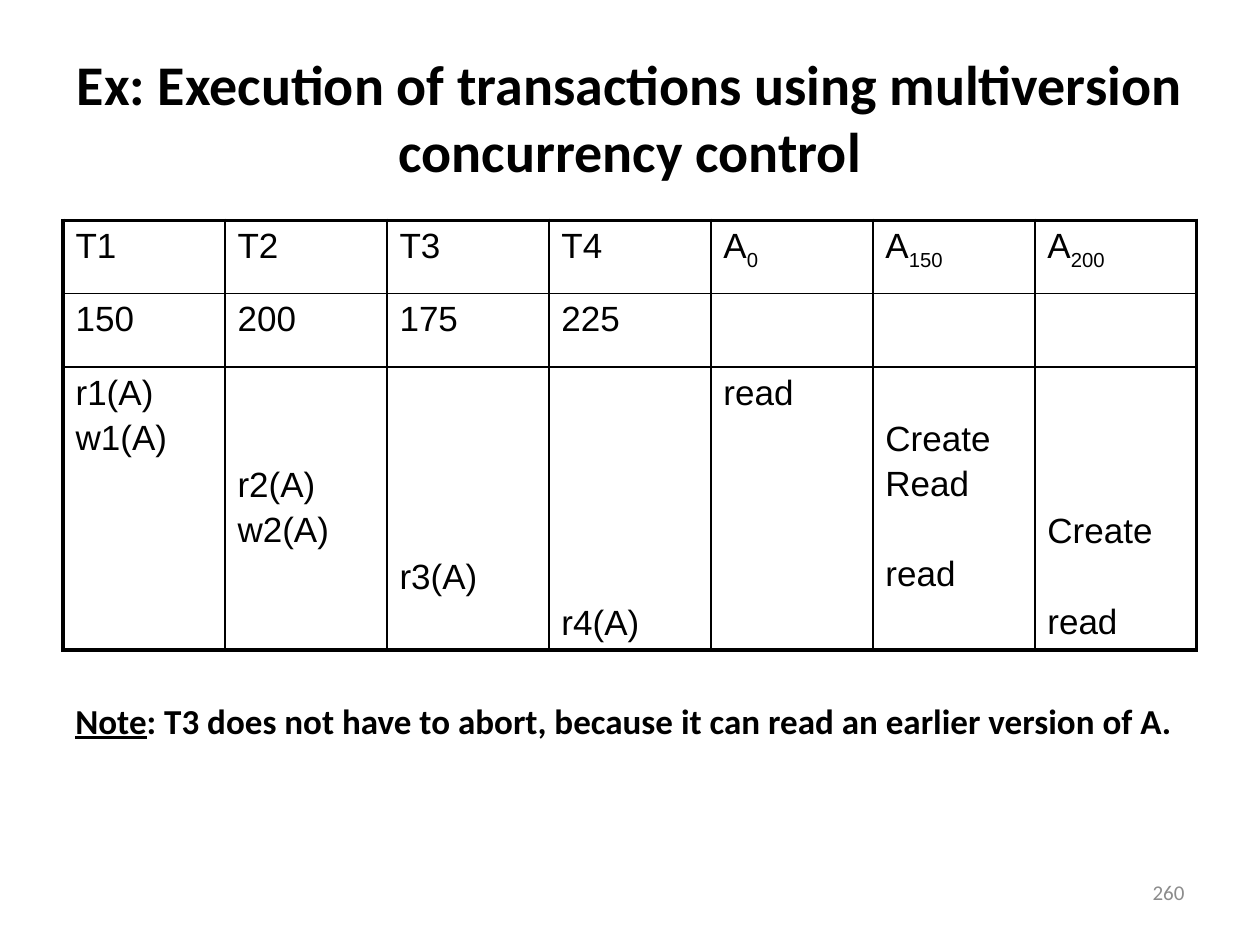
from lxml import etree
from pptx import Presentation
from pptx.dml.color import RGBColor
from pptx.enum.text import MSO_ANCHOR, MSO_AUTO_SIZE, PP_ALIGN
from pptx.oxml.ns import qn
from pptx.util import Cm, Pt

MIDDLE = MSO_ANCHOR.MIDDLE
TOP = MSO_ANCHOR.TOP
NO_FIT = MSO_AUTO_SIZE.NONE
LEFT, CENTER, RIGHT = PP_ALIGN.LEFT, PP_ALIGN.CENTER, PP_ALIGN.RIGHT

COLORS = {"ink": "000000", "paper": "FFFFFF", "muted": "8C8C8C"}
EDGE, WIDTH = Cm(1.27), Cm(22.86)
INSET = Cm(0.13)
GAP, PITCH = 3.3, 26.3
THICK, THIN = Pt(2.25), Pt(1)

HEADS = [("T1", ""), ("T2", ""), ("T3", ""), ("T4", ""),
         ("A", "0"), ("A", "150"), ("A", "200")]
STAMPS = ["150", "200", "175", "225", "", "", ""]
STEPS = [
    {0: "r1(A)", 4: "read"},
    {0: "w1(A)", 5: "Create"},
    {1: "r2(A)", 5: "Read"},
    {1: "w2(A)", 6: "Create"},
    {2: "r3(A)", 5: "read"},
    {3: "r4(A)", 6: "read"},
]


def add_run(para, text, size, font, color="ink", bold=False):
    run = para.add_run()
    run.text = text
    run.font.size = Pt(size)
    run.font.name = font
    run.font.bold = bold
    run.font.color.rgb = RGBColor.from_string(COLORS[color])
    return run


def set_frame(frame, anchor, align):
    frame.word_wrap = True
    frame.auto_size = NO_FIT
    frame.vertical_anchor = anchor
    para = frame.paragraphs[0]
    para.alignment = align
    return para


def add_title(slide, text):
    title = slide.shapes.title
    title.left, title.top = EDGE, Cm(0.76)
    title.width, title.height = WIDTH, Cm(3.18)
    para = set_frame(title.text_frame, MIDDLE, CENTER)
    add_run(para, text, 32, "Calibri", bold=True)


def add_box(slide, left, top, width, height, anchor, align):
    box = slide.shapes.add_textbox(left, top, width, height)
    return set_frame(box.text_frame, anchor, align)


def set_edge(cell, side, width):
    props = cell._tc.get_or_add_tcPr()
    line = etree.SubElement(props, qn(f"a:{side}"), w=str(width))
    fill = etree.SubElement(line, qn("a:solidFill"))
    etree.SubElement(fill, qn("a:srgbClr"), val=COLORS["ink"])


def style_cell(cell, row, col, last_row, last_col):
    outer = {"lnL": col == 0, "lnR": col == last_col,
             "lnT": row == 0, "lnB": row == last_row}
    for side, thick in outer.items():
        set_edge(cell, side, THICK if thick else THIN)
    cell.fill.solid()
    cell.fill.fore_color.rgb = RGBColor.from_string(COLORS["paper"])


def fill_steps(cell, col):
    frame = cell.text_frame
    prev = None
    for step, acts in enumerate(STEPS):
        if col not in acts:
            continue
        if prev is None:
            para = frame.paragraphs[0]
            cell.margin_top = INSET + Pt(step * PITCH)
        else:
            para = frame.add_paragraph()
            para.space_before = Pt(GAP + (step - prev - 1) * PITCH)
        add_run(para, acts[col], 20, "Arial")
        prev = step


def add_grid(slide):
    rows = [Cm(1.48), Cm(1.48), Cm(5.7)]
    count = len(HEADS)
    table = slide.shapes.add_table(
        len(rows), count, EDGE, Cm(4.44), WIDTH, sum(rows)).table
    table.first_row = table.horz_banding = False
    for row, height in enumerate(rows):
        table.rows[row].height = height
        for col in range(count):
            cell = table.cell(row, col)
            cell.margin_top = cell.margin_bottom = INSET
            style_cell(cell, row, col, len(rows) - 1, count - 1)
    for col, (name, sub) in enumerate(HEADS):
        table.columns[col].width = WIDTH // count
        para = table.cell(0, col).text_frame.paragraphs[0]
        add_run(para, name, 20, "Arial")
        if sub:
            low = add_run(para, sub, 20, "Arial")
            low.font._element.set("baseline", "-25000")
        if STAMPS[col]:
            para = table.cell(1, col).text_frame.paragraphs[0]
            add_run(para, STAMPS[col], 20, "Arial")
        fill_steps(table.cell(2, col), col)


def add_note(slide):
    para = add_box(slide, EDGE, Cm(13.97), WIDTH, Cm(1.96), TOP, LEFT)
    add_run(para, "Note", 20, "Calibri", bold=True).font.underline = True
    add_run(para, ": T3 does not have to abort, because it can read "
            "an earlier version of A.", 20, "Calibri", bold=True)


def add_number(slide):
    para = add_box(slide, Cm(18.2), Cm(17.35), Cm(5.93), Cm(1.27),
                   MIDDLE, RIGHT)
    add_run(para, "260", 12, "Calibri", "muted")


def main():
    deck = Presentation()
    deck.slide_width, deck.slide_height = Cm(25.4), Cm(19.05)
    slide = deck.slides.add_slide(deck.slide_layouts[5])
    add_title(slide, "Ex: Execution of transactions using multiversion "
              "concurrency control")
    add_grid(slide)
    add_note(slide)
    add_number(slide)
    deck.save("out.pptx")


if __name__ == "__main__":
    main()
